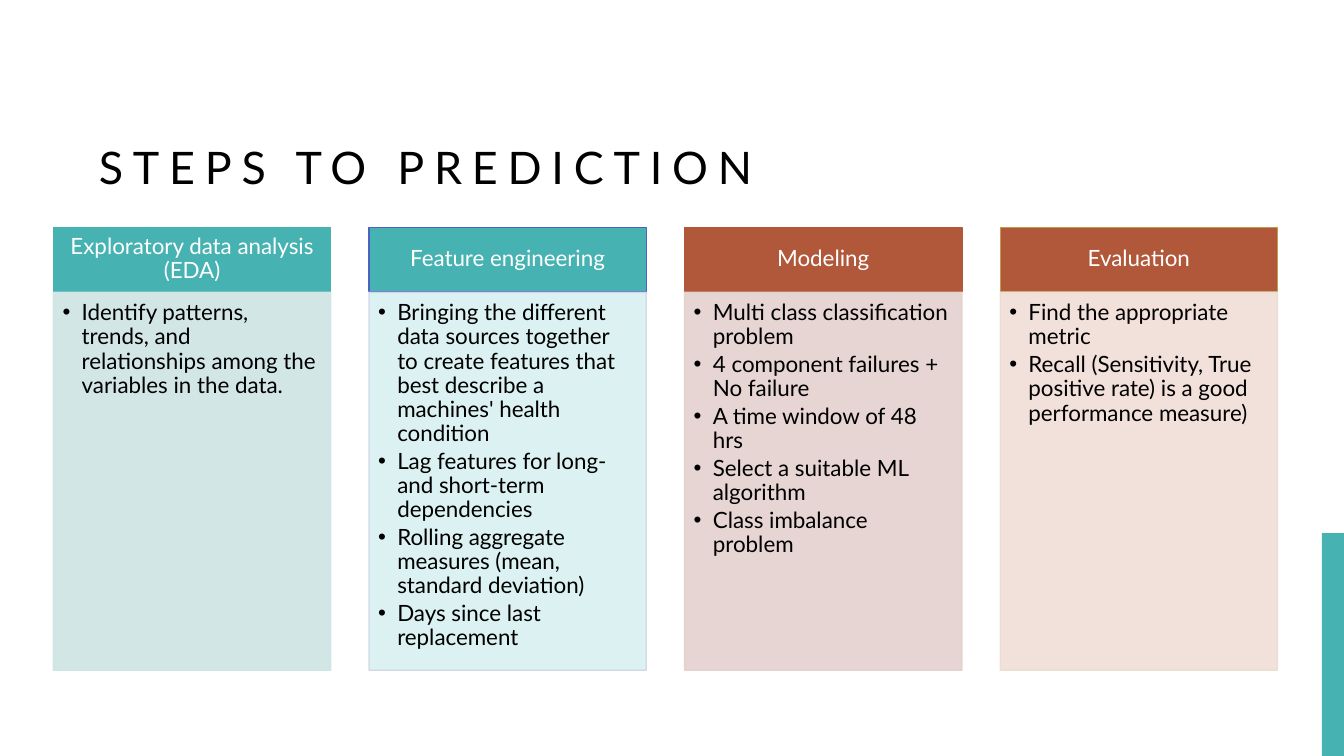
from lxml import etree
from pptx import Presentation
from pptx import util as u
from pptx.dml.color import RGBColor
from pptx.enum import shapes, text
from pptx.oxml.ns import qn

WIDTH, HEIGHT = 13.33, 7.5
FONT = "Lato"
TEAL, RUST = "46B2B1", "B1583B"
COLUMN_WIDTH, COLUMN_PITCH = 2.75, 3.13
COLUMNS_LEFT, COLUMNS_TOP = 0.53, 2.26
HEADER_HEIGHT, BODY_HEIGHT = 0.63, 3.75
BULLET_INDENT = 0.19

# heading, header fill, header line, body fill, body line, bullets
STEPS = [
    ("Exploratory data analysis (EDA)", TEAL, TEAL, "CFE4E4", "CFE4E4", [
        "Identify patterns, trends, and relationships among the variables in the data.",
    ]),
    ("Feature engineering", TEAL, "4D62C3", "D9F0F0", "D0D3E9", [
        "Bringing the different data sources together to create features "
        "that best describe a machines' health condition",
        "Lag features for long- and short-term dependencies",
        "Rolling aggregate measures (mean, standard deviation)",
        "Days since last replacement",
    ]),
    ("Modeling", RUST, RUST, "E4D1CE", "E4D1CE", [
        "Multi class classification problem",
        "4 component failures + No failure",
        "A time window of 48 hrs",
        "Select a suitable ML algorithm",
        "Class imbalance problem",
    ]),
    ("Evaluation", RUST, "C39B4D", "F1DDD6", "E9DED0", [
        "Find the appropriate metric",
        "Recall (Sensitivity, True positive rate) is a good performance measure)",
    ]),
]


def paint(color_format, color, opacity=100):
    """Set a solid fill's colour and, below 100, its opacity in percent."""
    color_format.solid()
    color_format.fore_color.rgb = RGBColor.from_string(color)
    if opacity < 100:
        for tag in color_format.fore_color._xFill.iter(qn("a:srgbClr")):
            etree.SubElement(tag, qn("a:alpha"), val=str(opacity * 1000))


def add_box(page, left, top, width, height, fill, line=None, opacity=100):
    box = page.shapes.add_shape(
        shapes.MSO_SHAPE.RECTANGLE,
        *(u.Inches(length) for length in (left, top, width, height)))
    box.shadow.inherit = False
    paint(box.fill, fill, opacity)
    if line:
        paint(box.line.fill, line, opacity)
        box.line.width = u.Pt(1)
    else:
        box.line.fill.background()
    return box


def set_frame(box, anchor, insets):
    frame = box.text_frame
    frame.word_wrap = True
    frame.vertical_anchor = anchor
    (frame.margin_left, frame.margin_top,
     frame.margin_right, frame.margin_bottom) = (u.Inches(i) for i in insets)
    return frame


def add_span(para, words, size, color):
    span = para.add_run()
    span.text = words
    span.font.name = FONT
    span.font.size = u.Pt(size)
    paint(span.font.fill, color)
    return span


def add_bullet(para):
    properties = para._p.get_or_add_pPr()
    properties.set("marL", str(u.Inches(BULLET_INDENT)))
    properties.set("indent", str(-u.Inches(BULLET_INDENT)))
    etree.SubElement(properties, qn("a:buFont"), typeface="Arial")
    etree.SubElement(properties, qn("a:buChar"), char="•")


def add_title(page, left, top, width, height):
    title = page.shapes.title
    title.left, title.top, title.width, title.height = (
        u.Inches(length) for length in (left, top, width, height))
    frame = set_frame(title, text.MSO_ANCHOR.BOTTOM, (0.1, 0.05, 0.1, 0.05))
    frame.auto_size = text.MSO_AUTO_SIZE.NONE
    para = frame.paragraphs[0]
    para.alignment = text.PP_ALIGN.LEFT
    para.line_spacing = 1.2
    span = add_span(para, "STEPS TO PREDICTION", 32, "000000")
    span.font._element.set("spc", "700")


def add_step(page, left, top, width, step):
    heading, header_fill, header_line, body_fill, body_line, bullets = step

    header = add_box(page, left, top, width, HEADER_HEIGHT, header_fill, header_line)
    frame = set_frame(header, text.MSO_ANCHOR.MIDDLE, (0.12, 0.07, 0.12, 0.07))
    para = frame.paragraphs[0]
    para.alignment = text.PP_ALIGN.CENTER
    para.line_spacing = 0.9
    add_span(para, heading, 16, "FFFFFF")

    body = add_box(page, left, top + HEADER_HEIGHT + 0.01, width, BODY_HEIGHT,
                   body_fill, body_line, opacity=90)
    frame = set_frame(body, text.MSO_ANCHOR.TOP, (0.09, 0.09, 0.12, 0.14))
    for index, bullet in enumerate(bullets):
        para = frame.add_paragraph() if index else frame.paragraphs[0]
        para.level = 1
        para.alignment = text.PP_ALIGN.LEFT
        para.line_spacing = 0.9
        para.space_after = u.Pt(2.6)
        add_bullet(para)
        add_span(para, bullet, 16, "000000")


def main():
    deck = Presentation()
    deck.slide_width, deck.slide_height = u.Inches(WIDTH), u.Inches(HEIGHT)
    page = deck.slides.add_slide(deck.slide_layouts[5])
    paint(page.background.fill, "FFFFFF")
    add_box(page, WIDTH - 0.22, 5.29, 0.22, HEIGHT - 5.29, TEAL)
    add_title(page, 0.88, 0.4, 11.33, 1.57)
    for column, step in enumerate(STEPS):
        add_step(page, COLUMNS_LEFT + column * COLUMN_PITCH, COLUMNS_TOP,
                 COLUMN_WIDTH, step)
    deck.save("out.pptx")


if __name__ == "__main__":
    main()
